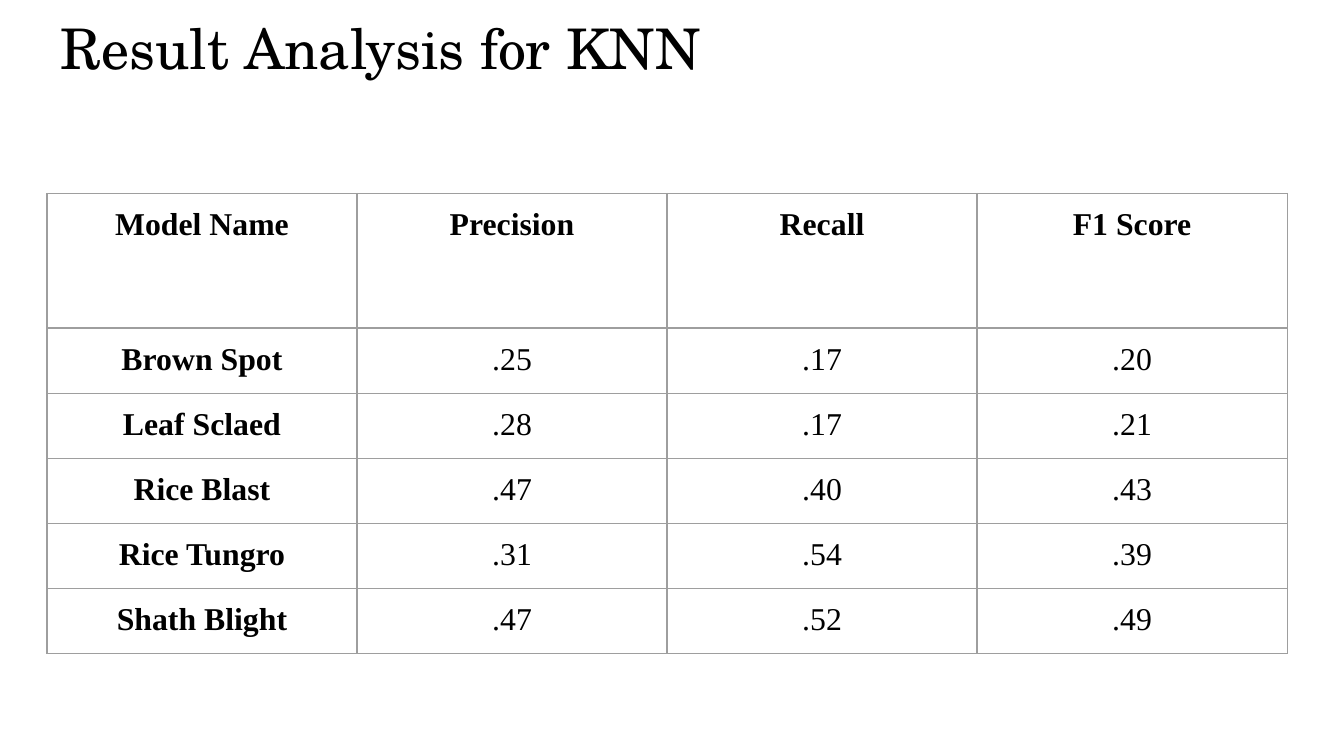
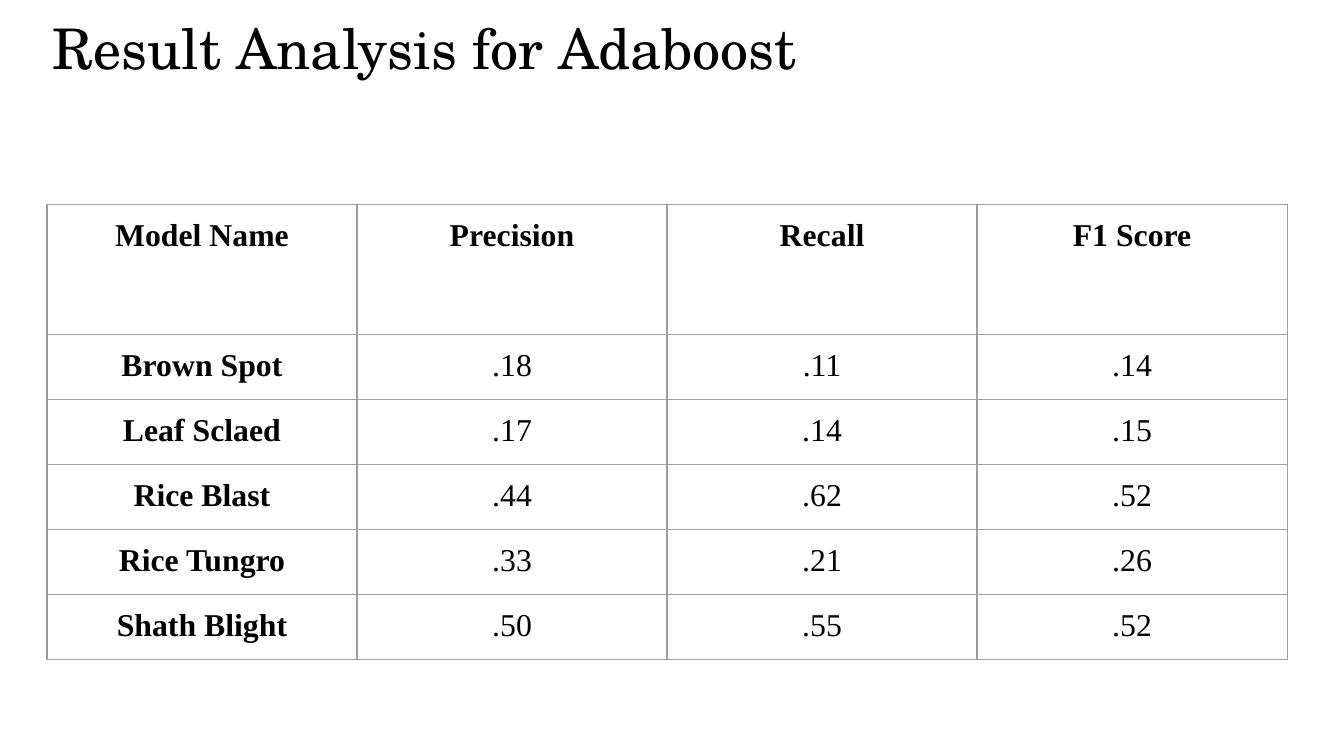
import pptx
import pptx.util
import pptx.dml.color
import pptx.enum.text
import pptx.oxml.ns
import lxml.etree

HEADS = ["Model Name", "Precision", "Recall", "F1 Score"]
NAMES = ["Brown Spot", "Leaf Sclaed", "Rice Blast", "Rice Tungro", "Shath Blight"]
PAGES = [
    {
        "title": "Result Analysis for KNN",
        "box": (3.5, 0, 94, 12.6),
        "top": 25.6,
        "head": 17.8,
        "data": [
            [".25", ".17", ".20"],
            [".28", ".17", ".21"],
            [".47", ".40", ".43"],
            [".31", ".54", ".39"],
            [".47", ".52", ".49"],
        ],
    },
    {
        "title": "Result Analysis for Adaboost",
        "box": (2.9, 0, 92.9, 12.6),
        "top": 27.02,
        "head": 17.2,
        "data": [
            [".18", ".11", ".14"],
            [".17", ".14", ".15"],
            [".44", ".62", ".52"],
            [".33", ".21", ".26"],
            [".50", ".55", ".52"],
        ],
    },
]


def paint(code):
    return pptx.dml.color.RGBColor.from_string(code)


class Deck:
    ink = "000000"
    rule = "9E9E9E"
    paper = "FFFFFF"
    serif = "TeX Gyre Schola"
    body = "Times New Roman"
    left = 3.5
    col = 23.07
    row = 8.57
    pad = pptx.util.Inches(0.1)

    def __init__(self):
        self.prs = pptx.Presentation()
        self.prs.slide_width = pptx.util.Inches(10)
        self.prs.slide_height = pptx.util.Inches(5.625)
        self.slide = None

    def wide(self, part):
        return round(self.prs.slide_width * part / 100)

    def tall(self, part):
        return round(self.prs.slide_height * part / 100)

    def page(self):
        self.slide = self.prs.slides.add_slide(self.prs.slide_layouts[6])
        fill = self.slide.background.fill
        fill.solid()
        fill.fore_color.rgb = paint(self.paper)

    def run(self, para, text, face, size, bold=False):
        run = para.add_run()
        run.text = text
        run.font.name = face
        run.font.size = pptx.util.Pt(size)
        run.font.bold = bold
        run.font.color.rgb = paint(self.ink)

    def inset(self, item):
        item.margin_left = item.margin_right = self.pad
        item.margin_top = item.margin_bottom = self.pad

    def title(self, text, box):
        x, y, w, h = box
        shape = self.slide.shapes.add_textbox(
            self.wide(x), self.tall(y), self.wide(w), self.tall(h))
        frame = shape.text_frame
        frame.word_wrap = True
        frame.auto_size = pptx.enum.text.MSO_AUTO_SIZE.SHAPE_TO_FIT_TEXT
        self.inset(frame)
        self.run(frame.paragraphs[0], text, self.serif, 30)

    def edge(self, cell):
        props = cell._tc.get_or_add_tcPr()
        qn = pptx.oxml.ns.qn
        for spot, side in enumerate(("lnL", "lnR", "lnT", "lnB")):
            line = lxml.etree.Element(qn("a:" + side), w=str(pptx.util.Pt(0.75)))
            fill = lxml.etree.SubElement(line, qn("a:solidFill"))
            lxml.etree.SubElement(fill, qn("a:srgbClr"), val=self.rule)
            props.insert(spot, line)

    def cell(self, cell, text, bold):
        self.inset(cell)
        cell.fill.background()
        self.edge(cell)
        para = cell.text_frame.paragraphs[0]
        para.alignment = pptx.enum.text.PP_ALIGN.CENTER
        self.run(para, text, self.body, 17, bold)

    def table(self, rows, top, head):
        count, span = len(rows), len(rows[0])
        high = head + self.row * (count - 1)
        table = self.slide.shapes.add_table(
            count, span, self.wide(self.left), self.tall(top),
            self.wide(self.col * span), self.tall(high)).table
        table.first_row = False
        table.horz_banding = False
        for col in table.columns:
            col.width = self.wide(self.col)
        for r, texts in enumerate(rows):
            table.rows[r].height = self.tall(self.row if r else head)
            for c, text in enumerate(texts):
                self.cell(table.cell(r, c), text, r == 0 or c == 0)


def main():
    deck = Deck()
    for page in PAGES:
        deck.page()
        deck.title(page["title"], page["box"])
        rows = [HEADS] + [[name] + nums for name, nums in zip(NAMES, page["data"])]
        deck.table(rows, page["top"], page["head"])
    deck.prs.save("out.pptx")


if __name__ == "__main__":
    main()
